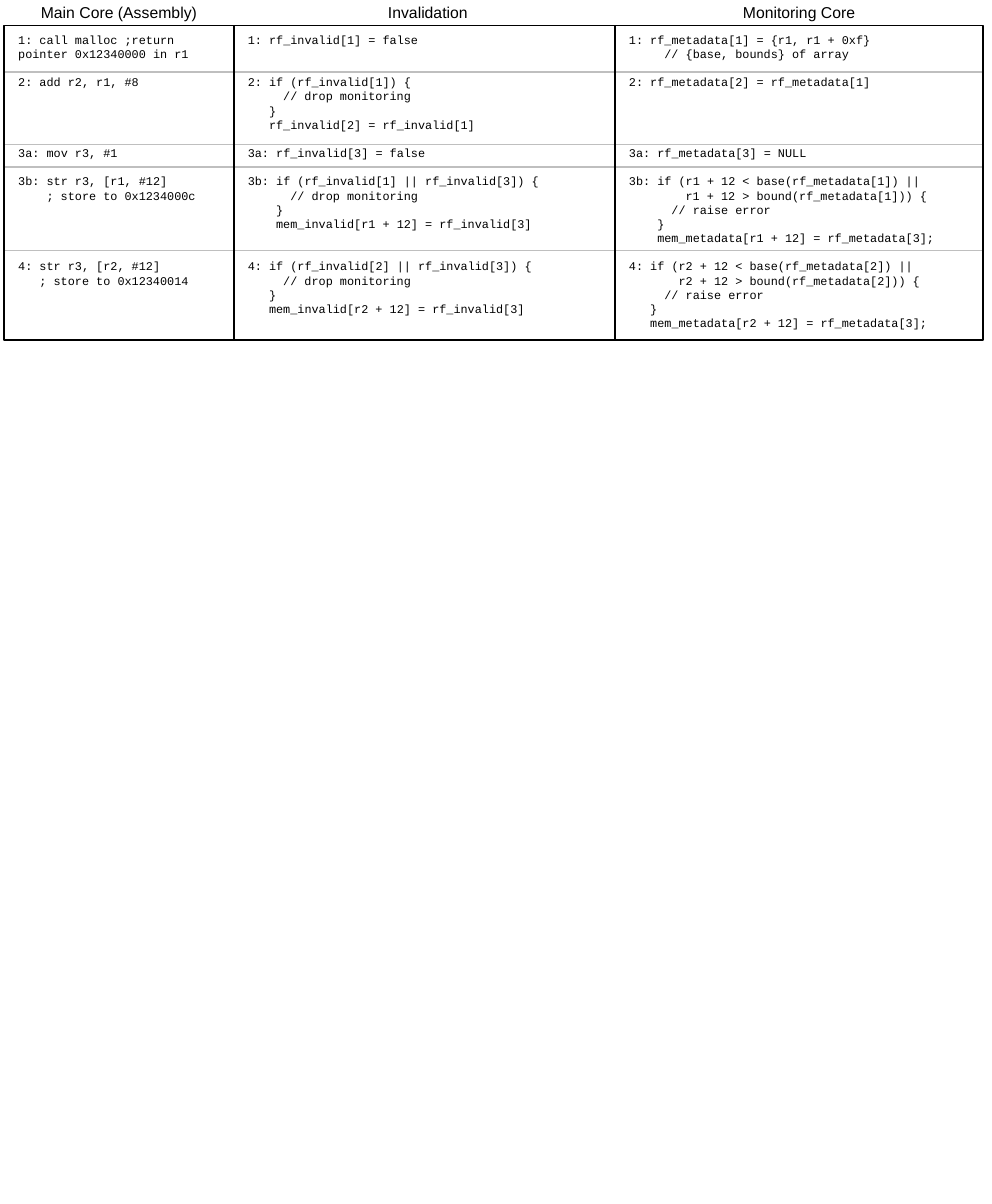
"""Build a slide that sets out program steps beside their invalidation and monitoring code."""
import dataclasses
import math

import lxml.etree
import pptx
import pptx.dml.color
import pptx.enum.shapes
import pptx.enum.text
import pptx.oxml.ns
import pptx.util

COLORS = {"ink": "000000", "rule": "BFBFBF"}
WIDTH, HEIGHT = pptx.util.Inches(7), pptx.util.Inches(8.5)
COL, ROW = WIDTH / 140, HEIGHT / 85
INSET_COLS, INSET_ROWS = 2, 0.5
TOP, BOTTOM = 1.8, 24
EDGES = (0.6, 33, 86.8, 138.8)
RULES = (5.1, 10.2, 11.8, 17.7)


@dataclasses.dataclass(frozen=True)
class Heading:
    text: str
    center: float
    width: float


@dataclasses.dataclass(frozen=True)
class Step:
    first_line: int
    cells: tuple[str, str, str]


HEADINGS = (
    Heading("Main Core (Assembly)", 16.8, 28.8),
    Heading("Invalidation", 60.4, 17.2),
    Heading("Monitoring Core", 112.8, 25.2),
)

STEPS = (
    Step(0, (
        "1: call malloc ;return pointer 0x12340000 in r1",
        "1: rf_invalid[1] = false",
        """1: rf_metadata[1] = {r1, r1 + 0xf}
     // {base, bounds} of array""",
    )),
    Step(3, (
        "2: add r2, r1, #8",
        """2: if (rf_invalid[1]) {
     // drop monitoring
   }
   rf_invalid[2] = rf_invalid[1]""",
        "2: rf_metadata[2] = rf_metadata[1]",
    )),
    Step(8, (
        "3a: mov r3, #1",
        "3a: rf_invalid[3] = false",
        "3a: rf_metadata[3] = NULL",
    )),
    Step(10, (
        """3b: str r3, [r1, #12]
    ; store to 0x1234000c""",
        """3b: if (rf_invalid[1] || rf_invalid[3]) {
      // drop monitoring
    }
    mem_invalid[r1 + 12] = rf_invalid[3]""",
        """3b: if (r1 + 12 < base(rf_metadata[1]) ||
        r1 + 12 > bound(rf_metadata[1])) {
      // raise error
    }
    mem_metadata[r1 + 12] = rf_metadata[3];""",
    )),
    Step(16, (
        """4: str r3, [r2, #12]
   ; store to 0x12340014""",
        """4: if (rf_invalid[2] || rf_invalid[3]) {
     // drop monitoring
   }
   mem_invalid[r2 + 12] = rf_invalid[3]""",
        """4: if (r2 + 12 < base(rf_metadata[2]) ||
       r2 + 12 > bound(rf_metadata[2])) {
     // raise error
   }
   mem_metadata[r2 + 12] = rf_metadata[3];""",
    )),
)


def grid(cols: float, rows: float) -> tuple[int, int]:
    """Turn grid columns and rows into slide lengths."""
    return round(cols * COL), round(rows * ROW)


def rgb(name: str) -> pptx.dml.color.RGBColor:
    """Look up a named colour."""
    return pptx.dml.color.RGBColor.from_string(COLORS[name])


def write(paragraph, text: str, *, font: str, size: float, align=None,
          indent: int = 0, gap_rows: float = 0) -> None:
    """Fill a paragraph with text, indented by columns and set off by rows."""
    run = paragraph.add_run()
    run.text = text
    run.font.name, run.font.size = font, pptx.util.Pt(size)
    run.font.color.rgb = rgb("ink")
    paragraph.alignment = align
    if gap_rows:
        paragraph.space_before = pptx.util.Emu(round(gap_rows * ROW))
    if indent:
        paragraph._p.get_or_add_pPr().set("marL", str(round(indent * COL)))


def add_frame(slide, left: float, top: float, width: float, height: float):
    """Add a wrapping text box on the grid and return its text frame."""
    frame = slide.shapes.add_textbox(*grid(left, top), *grid(width, height)).text_frame
    frame.word_wrap = True
    frame.auto_size = pptx.enum.text.MSO_AUTO_SIZE.SHAPE_TO_FIT_TEXT
    return frame


def draw_heading(slide, heading: Heading) -> None:
    """Draw a centred column heading."""
    frame = add_frame(slide, heading.center - heading.width / 2, -0.3, heading.width, 2.4)
    write(frame.paragraphs[0], heading.text, font="Arial", size=8,
          align=pptx.enum.text.PP_ALIGN.CENTER)


def draw_code(slide, column: int) -> None:
    """Draw one column of code with each step starting on its own line."""
    left, right = EDGES[column:column + 2]
    chars = math.floor(right - left - 2 * INSET_COLS)
    frame = add_frame(slide, left, TOP, right - left, BOTTOM - TOP)
    paragraph, line = frame.paragraphs[0], 0
    for step in STEPS:
        gap = step.first_line - line
        for code in step.cells[column].splitlines():
            if line:
                paragraph = frame.add_paragraph()
            text = code.lstrip()
            write(paragraph, text, font="Courier New", size=6,
                  indent=len(code) - len(text), gap_rows=gap)
            line += gap + math.ceil(len(code) / chars)
            gap = 0
    frame._parent.height = round((line + 2 * INSET_ROWS) * ROW)


def draw_line(slide, start: tuple[float, float], end: tuple[float, float], color: str) -> None:
    """Draw a thin straight line between two grid points."""
    line = slide.shapes.add_connector(
        pptx.enum.shapes.MSO_CONNECTOR.STRAIGHT, *grid(*start), *grid(*end))
    line.line.color.rgb = rgb(color)
    line.line.width = pptx.util.Pt(0.75)
    lxml.etree.SubElement(line._element.spPr, pptx.oxml.ns.qn("a:effectLst"))


def draw_border(slide) -> None:
    """Draw the outer border of the listing."""
    border = slide.shapes.add_shape(
        pptx.enum.shapes.MSO_SHAPE.RECTANGLE, *grid(EDGES[0], TOP),
        *grid(EDGES[-1] - EDGES[0], BOTTOM - TOP))
    border.shadow.inherit = False
    border.fill.background()
    border.line.color.rgb = rgb("ink")
    border.line.width = pptx.util.Pt(1)


def main() -> None:
    """Build and save the slide."""
    deck = pptx.Presentation()
    deck.slide_width, deck.slide_height = WIDTH, HEIGHT
    slide = deck.slides.add_slide(deck.slide_layouts[6])
    for column, heading in enumerate(HEADINGS):
        draw_heading(slide, heading)
        draw_code(slide, column)
    for row in RULES:
        draw_line(slide, (EDGES[0], row), (EDGES[-1], row), "rule")
    for edge in EDGES[1:-1]:
        draw_line(slide, (edge, TOP), (edge, BOTTOM), "ink")
    draw_border(slide)
    deck.save("out.pptx")


if __name__ == "__main__":
    main()
